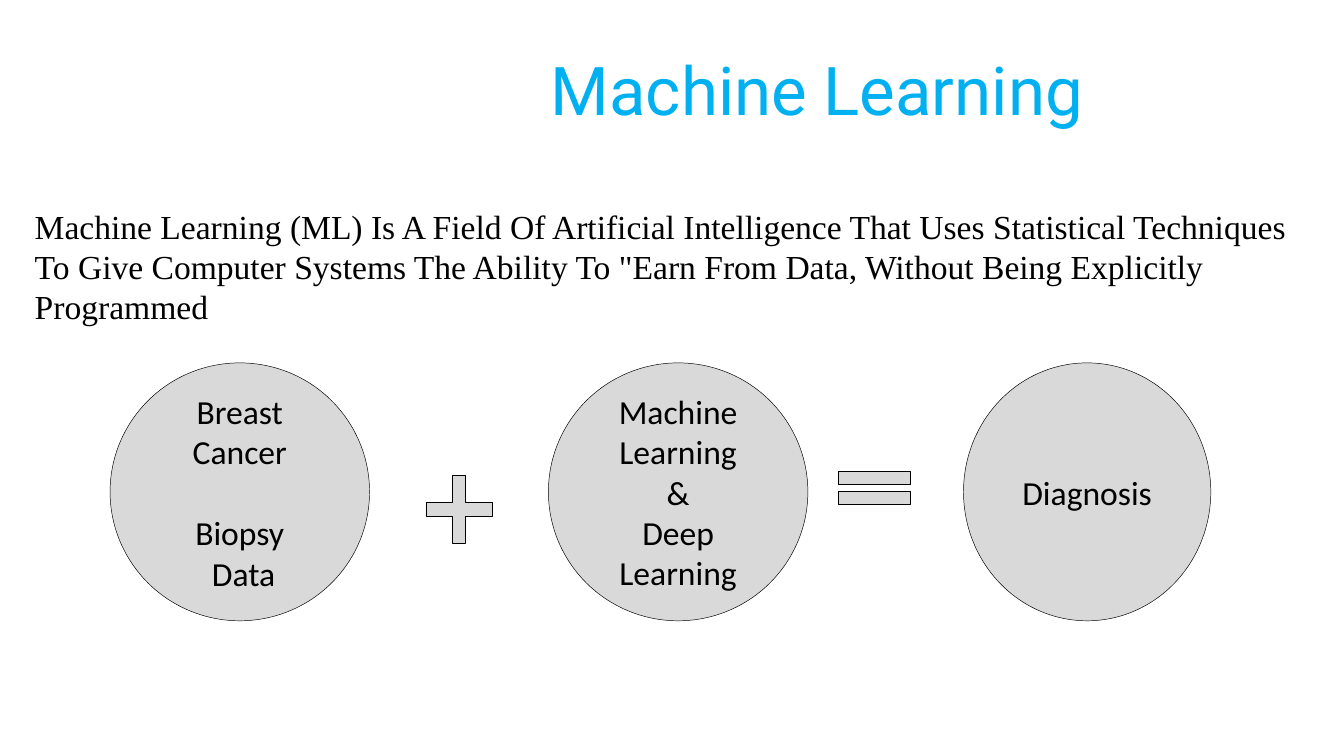
from pptx import Presentation
from pptx.dml.color import RGBColor
from pptx.enum.shapes import MSO_SHAPE as Kind
from pptx.enum.text import MSO_ANCHOR as Anchor, PP_ALIGN as Align
from pptx.util import Pt

BLUE = RGBColor(0x00, 0xB0, 0xF0)
BLACK = RGBColor(0, 0, 0)
GREY = RGBColor(0xD9, 0xD9, 0xD9)

TEXTS = [
    ("Machine Learning", (288, 22.3, 360.7, 51.1), 36, "Roboto", BLUE),
    ("Machine Learning (ML) Is A Field Of Artificial Intelligence That Uses "
     "Statistical Techniques To Give Computer Systems The Ability To "
     "\"Earn From Data, Without Being Explicitly Programmed",
     (11.5, 106.6, 685.4, 72.7), 18, "Times New Roman", BLACK),
]
TOP, HIGH = 194.4, 138.2
CIRCLES = [
    (59, 139, [("Breast Cancer", 0), ("Biopsy", 22), (" Data", 0)]),
    (293.8, 139, [("Machine Learning", 0), (" & ", 0), ("Deep Learning", 0)]),
    (516.2, 132.5, [("Diagnosis", 0)]),
]
SIGNS = [
    (Kind.CROSS, (228.2, 254.9, 35.3, 36), [0.401]),
    (Kind.MATH_EQUAL, (442.1, 246.2, 52.6, 30.2), []),
]


def write(para, text, size, font, color):
    run = para.add_run()
    run.text = text
    run.font.size = Pt(size)
    run.font.name = font
    run.font.color.rgb = color


def draw(slide, kind, box):
    shape = slide.shapes.add_shape(kind, *map(Pt, box))
    shape.shadow.inherit = False
    shape.fill.solid()
    shape.fill.fore_color.rgb = GREY
    shape.line.color.rgb = BLACK
    shape.line.width = Pt(0.25)
    return shape


def main():
    deck = Presentation()
    deck.slide_width, deck.slide_height = Pt(720), Pt(405)
    slide = deck.slides.add_slide(deck.slide_layouts[6])

    for text, box, size, font, color in TEXTS:
        frame = slide.shapes.add_textbox(*map(Pt, box)).text_frame
        frame.word_wrap = True
        write(frame.paragraphs[0], text, size, font, color)

    for left, width, lines in CIRCLES:
        frame = draw(slide, Kind.OVAL, (left, TOP, width, HIGH)).text_frame
        frame.word_wrap = True
        frame.vertical_anchor = Anchor.MIDDLE
        for i, (text, gap) in enumerate(lines):
            para = frame.add_paragraph() if i else frame.paragraphs[0]
            para.alignment = Align.CENTER
            para.space_before = Pt(gap)
            write(para, text, 18, "Calibri", BLACK)

    for kind, box, values in SIGNS:
        sign = draw(slide, kind, box)
        for i, value in enumerate(values):
            sign.adjustments[i] = value

    deck.save("out.pptx")


if __name__ == "__main__":
    main()
